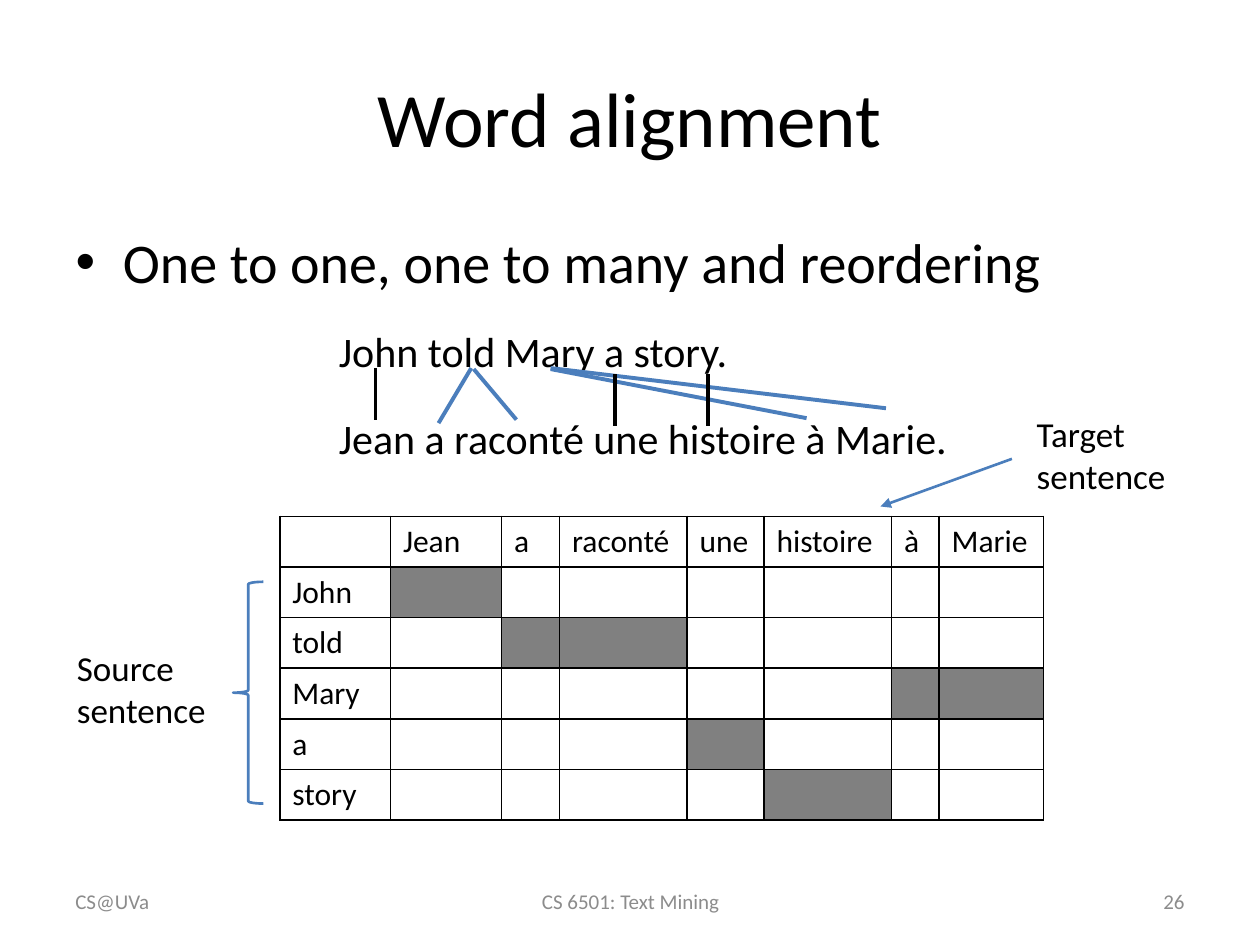
from lxml.etree import SubElement
from pptx import Presentation
from pptx.dml.color import RGBColor
from pptx.enum.shapes import MSO_CONNECTOR as Connector, MSO_SHAPE as Shape
from pptx.enum.text import MSO_ANCHOR as Anchor, PP_ALIGN as Align
from pptx.oxml.ns import qn
from pptx.util import Cm, Pt

BLACK = RGBColor(0x00, 0x00, 0x00)
BLUE = RGBColor(0x4B, 0x7E, 0xBC)
GRAY = RGBColor(0x80, 0x80, 0x80)
FOOTER_GRAY = RGBColor(0x8C, 0x8C, 0x8C)
FONT = "Calibri"

SOURCE_WORDS = ["John", "told", "Mary", "a", "story"]
TARGET_WORDS = ["Jean", "a", "raconté", "une", "histoire", "à", "Marie"]
# Source word index -> indices of its target words
ALIGNMENT = {0: [0], 1: [1, 2], 2: [5, 6], 3: [3], 4: [4]}
COLUMN_WIDTHS = [2.23, 2.24, 1.17, 2.57, 1.55, 2.57, 0.96, 2.11]
ROW_HEIGHT = 1.02

# Start x, start y, end x, end y, colour
WORD_LINKS = [
    (7.57, 7.42, 7.57, 8.46, BLACK),
    (9.5, 7.42, 8.84, 8.53, BLUE),
    (9.55, 7.44, 10.41, 8.46, BLUE),
    (11.1, 7.44, 16.26, 8.43, BLUE),
    (11.1, 7.42, 17.86, 8.23, BLUE),
    (12.4, 7.54, 12.4, 8.59, BLACK),
    (14.27, 7.54, 14.27, 8.59, BLACK),
]


def style(paragraph, size, color=BLACK, align=Align.LEFT):
    paragraph.alignment = align
    paragraph.font.name = FONT
    paragraph.font.size = Pt(size)
    paragraph.font.color.rgb = color


def fill_placeholder(holder, text, box, size, align):
    holder.left, holder.top, holder.width, holder.height = map(Cm, box)
    holder.text_frame.text = text
    style(holder.text_frame.paragraphs[0], size, align=align)


def add_text(page, text, box, size, color=BLACK, align=Align.LEFT,
             anchor=Anchor.TOP, wrap=True):
    frame = page.shapes.add_textbox(*map(Cm, box)).text_frame
    frame.word_wrap = wrap
    frame.vertical_anchor = anchor
    frame.text = text
    style(frame.paragraphs[0], size, color, align)


def add_line(page, x1, y1, x2, y2, color, width=2.25, arrow=False):
    line = page.shapes.add_connector(Connector.STRAIGHT, *map(Cm, (x1, y1, x2, y2)))
    line.line.color.rgb = color
    line.line.width = Pt(width)
    if arrow:
        SubElement(line.line._get_or_add_ln(), qn("a:tailEnd"), type="triangle")
    SubElement(line._element.spPr, qn("a:effectLst"))


def add_brace(page, box):
    brace = page.shapes.add_shape(Shape.LEFT_BRACE, *map(Cm, box))
    brace.shadow.inherit = False
    brace.fill.background()
    brace.line.color.rgb = BLUE
    brace.line.width = Pt(1.5)


def add_borders(cell):
    properties = cell._tc.get_or_add_tcPr()
    for index, side in enumerate(("a:lnL", "a:lnR", "a:lnT", "a:lnB")):
        border = SubElement(properties, qn(side), w=str(Pt(1)))
        solid = SubElement(border, qn("a:solidFill"))
        SubElement(solid, qn("a:srgbClr"), val=str(BLACK))
        # Borders come before the fill in the cell properties
        properties.insert(index, border)


def add_alignment_table(page, left, top):
    rows, columns = len(SOURCE_WORDS) + 1, len(TARGET_WORDS) + 1
    size = (sum(COLUMN_WIDTHS), rows * ROW_HEIGHT)
    table = page.shapes.add_table(rows, columns, *map(Cm, (left, top, *size))).table
    table.first_row = table.horz_banding = False
    for column, width in zip(table.columns, COLUMN_WIDTHS):
        column.width = Cm(width)
    for r, row in enumerate(table.rows):
        row.height = Cm(ROW_HEIGHT)
        for c, cell in enumerate(row.cells):
            if r == 0 and c > 0:
                cell.text = TARGET_WORDS[c - 1]
            elif r > 0 and c == 0:
                cell.text = SOURCE_WORDS[r - 1]
            style(cell.text_frame.paragraphs[0], 18)
            if c - 1 in ALIGNMENT.get(r - 1, []):
                cell.fill.solid()
                cell.fill.fore_color.rgb = GRAY
            else:
                cell.fill.background()
            add_borders(cell)


def main():
    deck = Presentation()
    deck.slide_width, deck.slide_height = Cm(25.4), Cm(19.05)
    page = deck.slides.add_slide(deck.slide_layouts[1])

    # Title and bullet
    fill_placeholder(page.shapes.title, "Word alignment",
                     (1.27, 0.76, 22.86, 3.18), 44, Align.CENTER)
    fill_placeholder(page.placeholders[1], "One to one, one to many and reordering",
                     (1.27, 4.45, 22.86, 12.57), 32, Align.LEFT)

    # Sentence pair with word links
    add_text(page, "John told Mary a story.", (6.58, 6.43, 8.41, 1.27), 24, wrap=False)
    add_text(page, "Jean a raconté une histoire à Marie.",
             (6.58, 8.2, 12.88, 1.27), 24, wrap=False)
    for link in WORD_LINKS:
        add_line(page, *link)

    # Labels for the table sides
    add_text(page, "Source sentence", (1.3, 12.9, 3.99, 1.96), 20)
    add_text(page, "Target sentence", (20.65, 8.2, 3.99, 1.96), 20)
    add_brace(page, (4.7, 11.73, 0.61, 4.47))
    add_line(page, 20.4, 9.25, 17.75, 10.21, BLUE, 1.5, arrow=True)

    # Alignment matrix
    add_alignment_table(page, 5.64, 10.41)

    # Footer
    for text, left, width, align in (
        ("CS@UVa", 1.27, 5.92, Align.LEFT),
        ("CS 6501: Text Mining", 8.69, 8.05, Align.CENTER),
        ("26", 18.21, 5.92, Align.RIGHT),
    ):
        add_text(page, text, (left, 17.65, width, 1.02), 12, FOOTER_GRAY,
                 align, Anchor.MIDDLE)

    deck.save("out.pptx")


main()
